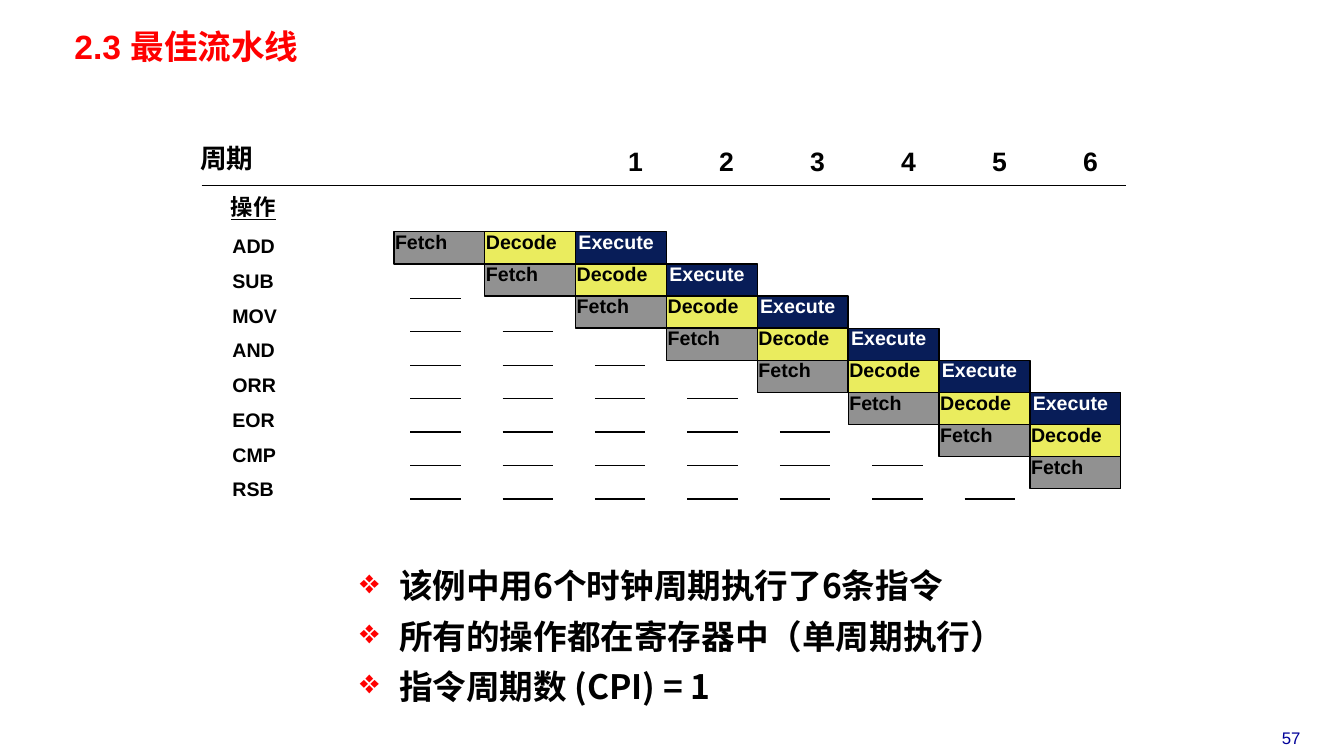
from dataclasses import dataclass

from lxml import etree
from pptx import Presentation
from pptx.dml.color import RGBColor
from pptx.enum.shapes import MSO_CONNECTOR, MSO_SHAPE
from pptx.enum.text import MSO_ANCHOR, PP_ALIGN
from pptx.oxml.ns import qn
from pptx.util import Pt

LINE, RECT = MSO_CONNECTOR.STRAIGHT, MSO_SHAPE.RECTANGLE
TOP, MIDDLE = MSO_ANCHOR.TOP, MSO_ANCHOR.MIDDLE
LEFT, CENTER = PP_ALIGN.LEFT, PP_ALIGN.CENTER

BLACK = RGBColor(0x00, 0x00, 0x00)
WHITE = RGBColor(0xFF, 0xFF, 0xFF)
RED = RGBColor(0xFF, 0x00, 0x00)
BLUE = RGBColor(0x00, 0x00, 0x99)
GRAY = RGBColor(0x91, 0x91, 0x91)
YELLOW = RGBColor(0xEA, 0xEC, 0x5E)
NAVY = RGBColor(0x08, 0x1D, 0x58)
LATIN, CJK = "Arial", "Noto Sans CJK SC"


@dataclass
class Style:
    size: float
    color: RGBColor = BLACK
    bold: bool = True
    underline: bool = False
    font: str = LATIN
    spacing: float = 0.88


@dataclass
class Label:
    text: str
    x: float
    y: float
    w: float
    h: float
    style: Style
    align: PP_ALIGN = LEFT


@dataclass
class Stage:
    name: str
    fill: RGBColor
    color: RGBColor
    inset: float


OPERATIONS = ["ADD", "SUB", "MOV", "AND", "ORR", "EOR", "CMP", "RSB"]
STAGES = [
    Stage("Fetch", GRAY, BLACK, 0.8),
    Stage("Decode", YELLOW, BLACK, 0.8),
    Stage("Execute", NAVY, WHITE, 2),
]
POINTS = [
    "该例中用6个时钟周期执行了6条指令",
    "所有的操作都在寄存器中（单周期执行）",
    "指令周期数 (CPI) = 1",
]
CYCLES = 6
COLUMNS = 8

# Pipeline grid: stage cells, operation labels and idle dashes
CELL_X, CELL_Y, CELL_W, CELL_H = 281.4, 165.6, 64.9, 22.95
LABEL_X, LABEL_Y, LABEL_STEP = 161, 167, 24.8
DASH_X, DASH_Y, DASH_W = 293, 213.1, 36
DASH_STEP_X, DASH_STEP_Y = 66, 23.9


def add_text(p, text: str, style: Style) -> None:
    r = p.add_run()
    r.text = text
    f = r.font
    f.name, f.size, f.bold = style.font, Pt(style.size), style.bold
    if style.underline:
        f.underline = True
    f.color.rgb = style.color
    rPr = r._r.get_or_add_rPr()
    rPr.find(qn("a:latin")).addnext(etree.Element(qn("a:ea"), typeface=CJK))


def set_frame(tf, anchor: MSO_ANCHOR, x: float, y: float) -> None:
    tf.word_wrap = True
    tf.vertical_anchor = anchor
    tf.margin_left = tf.margin_right = Pt(x)
    tf.margin_top = tf.margin_bottom = Pt(y)


def add_label(s, label: Label):
    sp = s.shapes.add_textbox(Pt(label.x), Pt(label.y), Pt(label.w), Pt(label.h))
    set_frame(sp.text_frame, TOP, 5, 2.5)
    p = sp.text_frame.paragraphs[0]
    p.alignment = label.align
    p.line_spacing = label.style.spacing
    add_text(p, label.text, label.style)
    return p


def add_stage(s, stage: Stage, row: int, column: int) -> None:
    sp = s.shapes.add_shape(RECT, Pt(CELL_X + column * CELL_W),
                            Pt(CELL_Y + row * CELL_H), Pt(CELL_W), Pt(CELL_H))
    sp.shadow.inherit = False
    sp.fill.solid()
    sp.fill.fore_color.rgb = stage.fill
    sp.line.color.rgb = BLACK
    sp.line.width = Pt(1)
    set_frame(sp.text_frame, TOP, 0, 1.2)
    sp.text_frame.margin_left = Pt(stage.inset)
    p = sp.text_frame.paragraphs[0]
    p.alignment = LEFT
    p.line_spacing = 0.85
    add_text(p, stage.name, Style(14, stage.color))


def add_rule(s, x: float, y: float, w: float) -> None:
    c = s.shapes.add_connector(LINE, Pt(x), Pt(y), Pt(x + w), Pt(y))
    c.line.color.rgb = BLACK
    c.line.width = Pt(1)
    etree.SubElement(c._element.spPr, qn("a:effectLst"))


def add_center_tabs(p, first: float, step: float, count: int) -> None:
    tabs = etree.SubElement(p._p.get_or_add_pPr(), qn("a:tabLst"))
    for i in range(count):
        etree.SubElement(tabs, qn("a:tab"), pos=str(Pt(first + i * step)),
                         algn="ctr")


def add_bullet(p, indent: float) -> None:
    pPr = p._p.get_or_add_pPr()
    pPr.set("marL", str(Pt(indent)))
    pPr.set("indent", str(Pt(-indent)))
    color = etree.SubElement(pPr, qn("a:buClr"))
    etree.SubElement(color, qn("a:srgbClr"), val=str(RED))
    etree.SubElement(pPr, qn("a:buChar"), char="❖")


def add_points(s) -> None:
    sp = s.shapes.add_textbox(Pt(238.3), Pt(398.9), Pt(497.5), Pt(103))
    tf = sp.text_frame
    set_frame(tf, MIDDLE, 5, 2.5)
    tf._txBody.bodyPr.set("anchorCtr", "1")
    for i, text in enumerate(POINTS):
        p = tf.add_paragraph() if i else tf.paragraphs[0]
        p.line_spacing = Pt(36)
        add_bullet(p, 28)
        add_text(p, text, Style(24, font=CJK))


def main() -> None:
    prs = Presentation()
    prs.slide_width, prs.slide_height = Pt(960), Pt(540)
    s = prs.slides.add_slide(prs.slide_layouts[6])

    # Title, table headings and page number
    for label in (
        Label("2.3 最佳流水线", 48.2, 20.2, 414, 29.5, Style(24, RED, spacing=0.87)),
        Label("周期", 138.2, 102.2, 60, 24.5, Style(19)),
        Label("操作", 160, 138.2, 60, 21, Style(16, underline=True)),
        Label("57", 888.5, 517.3, 67.7, 21.6,
              Style(12, BLUE, bold=False, spacing=1), CENTER),
    ):
        add_label(s, label)

    # Cycle numbers, centred on tab stops
    numbers = "".join(f"\t{n}" for n in range(1, CYCLES + 1))
    p = add_label(s, Label(numbers, 416, 103.4, 380, 28, Style(19, spacing=0.9)))
    add_center_tabs(p, 33, 65, CYCLES)
    add_rule(s, 144, 132.5, 660)

    # Operations, their idle slots and their stages
    for row, name in enumerate(OPERATIONS):
        add_label(s, Label(name, LABEL_X, LABEL_Y + row * LABEL_STEP, 60, 19,
                           Style(14)))
        for column in range(row):
            add_rule(s, DASH_X + column * DASH_STEP_X,
                     DASH_Y + (row - 1) * DASH_STEP_Y, DASH_W)
        for column, stage in enumerate(STAGES[:COLUMNS - row], start=row):
            add_stage(s, stage, row, column)

    add_points(s)
    prs.save("out.pptx")


if __name__ == "__main__":
    main()
